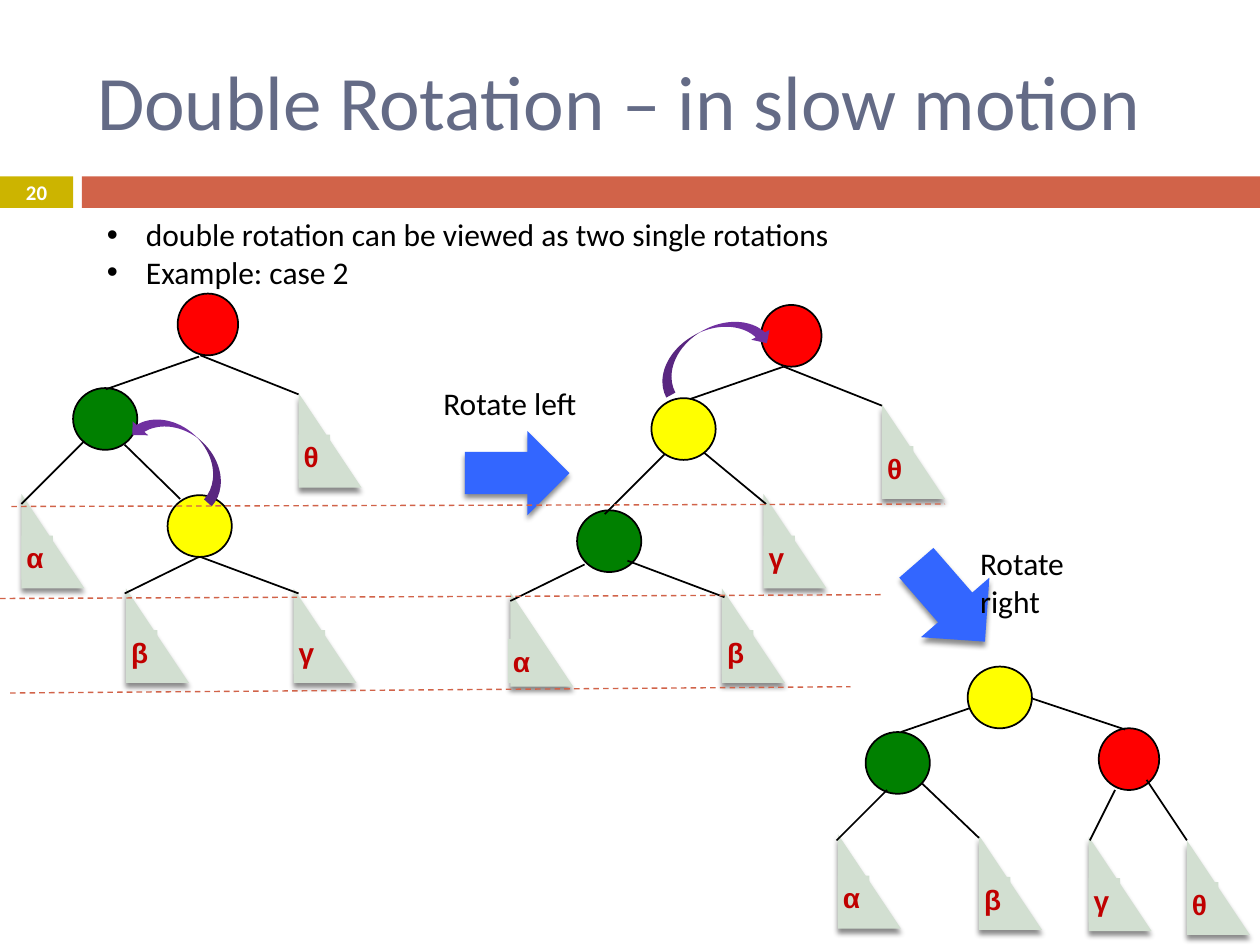
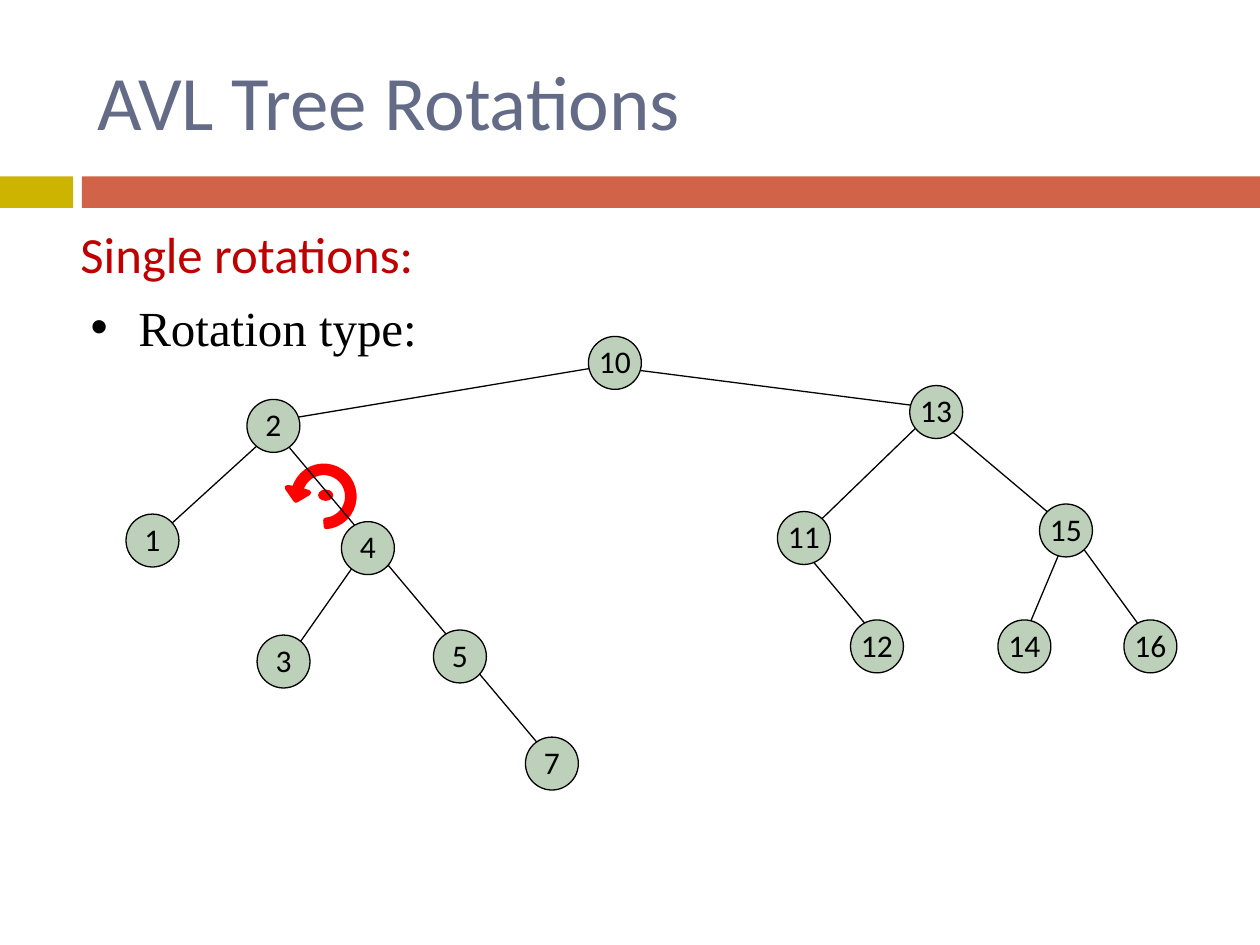
from math import cos, radians, sin
from typing import NamedTuple

from lxml.etree import SubElement
from pptx import Presentation
from pptx.dml.color import RGBColor
from pptx.enum.dml import MSO_LINE
from pptx.enum.shapes import MSO_CONNECTOR, MSO_SHAPE
from pptx.enum.text import MSO_ANCHOR, MSO_AUTO_SIZE, PP_ALIGN
from pptx.oxml.ns import qn
from pptx.util import Inches, Pt

GOLD = RGBColor(0xCC, 0xB4, 0x00)
RUST = RGBColor(0xD1, 0x63, 0x49)
SLATE = RGBColor(0x64, 0x6B, 0x86)
WHITE = RGBColor(0xFF, 0xFF, 0xFF)
BLACK = RGBColor(0x00, 0x00, 0x00)
RED = RGBColor(0xFF, 0x00, 0x00)
GREEN = RGBColor(0x00, 0x80, 0x00)
YELLOW = RGBColor(0xFF, 0xFF, 0x00)
PURPLE = RGBColor(0x70, 0x30, 0xA0)
BLUE = RGBColor(0x33, 0x66, 0xFF)
CRIMSON = RGBColor(0xC0, 0x00, 0x00)
PALE_SAGE = RGBColor(0xD2, 0xDF, 0xD1)
SAGE = RGBColor(0xBC, 0xD0, 0xBA)
TITLE_ONLY = 5


class Box(NamedTuple):
    left: float
    top: float
    width: float
    height: float

    def emu(self) -> list:
        return [Inches(length) for length in self]


class Style(NamedTuple):
    size: float
    color: RGBColor = BLACK
    font: str = "Calibri"
    bold: bool = False
    align: PP_ALIGN = PP_ALIGN.LEFT


class Edge(NamedTuple):
    x1: float
    y1: float
    x2: float
    y2: float


class Subtree(NamedTuple):
    label: str
    left: float
    top: float
    label_dx: float = 0
    label_dy: float = 0.33


class RotationStage(NamedTuple):
    red: tuple
    green: tuple
    yellow: tuple
    subtrees: list
    edges: list


class Node(NamedTuple):
    key: int
    left: float
    top: float


LABEL = Style(18)
HEADING = Style(44, SLATE)
GREEK = Style(16, CRIMSON, "Arial", True, PP_ALIGN.CENTER)

STAGES = [
    RotationStage(
        (1.41, 2.33), (0.58, 3.08), (1.33, 3.93),
        [Subtree("α", 0.17, 3.92), Subtree("β", 1, 4.67),
         Subtree("γ", 2.33, 4.67), Subtree("θ", 2.37, 3.12)],
        [Edge(1.58, 2.83, 0.84, 3.09), Edge(1.59, 2.82, 2.37, 3.13),
         Edge(0.67, 3.5, 0.17, 4), Edge(0.99, 3.53, 1.43, 3.96),
         Edge(1.58, 4.42, 0.99, 4.71), Edge(1.59, 4.42, 2.37, 4.71)],
    ),
    RotationStage(
        (8.72, 5.78), (6.87, 5.81), (7.68, 5.29),
        [Subtree("α", 6.65, 6.62), Subtree("β", 7.77, 6.63),
         Subtree("γ", 8.64, 6.64), Subtree("θ", 9.42, 6.67)],
        [Edge(7.9, 5.55, 7.15, 5.81), Edge(8.15, 5.53, 8.93, 5.79),
         Edge(7.04, 6.27, 6.64, 6.67), Edge(7.32, 6.22, 7.77, 6.65),
         Edge(8.85, 6.27, 8.65, 6.67), Edge(9.1, 6.19, 9.42, 6.67)],
    ),
    RotationStage(
        (6.04, 2.42), (4.58, 4.05), (5.17, 3.16),
        [Subtree("α", 4.05, 4.7, -0.02, 0.37), Subtree("β", 5.73, 4.67),
         Subtree("γ", 6.06, 3.92), Subtree("θ", 7, 3.21)],
        [Edge(6.22, 2.91, 5.47, 3.17), Edge(6.22, 2.91, 7, 3.22),
         Edge(5.3, 3.58, 4.8, 4.08), Edge(5.56, 3.57, 6.08, 4),
         Edge(4.64, 4.48, 4.05, 4.77), Edge(4.98, 4.45, 5.75, 4.74)],
    ),
]

LEVELS = [Edge(0.09, 4.02, 7.5, 4), Edge(0, 4.75, 7, 4.72), Edge(0.08, 5.5, 6.75, 5.45)]

AVL_NODES = [
    Node(10, 4.67, 2.67), Node(13, 7.22, 3.06), Node(15, 8.25, 4), Node(2, 1.96, 3.17),
    Node(11, 6.17, 4.06), Node(1, 1, 4.08), Node(4, 2.71, 4.14), Node(5, 3.44, 5),
    Node(12, 6.75, 4.92), Node(14, 7.92, 4.92), Node(16, 8.92, 4.92),
    Node(3, 2.04, 5.04), Node(7, 4.17, 5.85),
]

AVL_EDGES = [
    Edge(2.92, 4.33, 2.33, 5.17), Edge(2.17, 3.42, 1.17, 4.33),
    Edge(8.5, 4.22, 9.17, 5.14), Edge(6.33, 4.31, 7, 5.11),
    Edge(4.92, 2.92, 7.5, 3.25), Edge(2.25, 3.33, 4.89, 2.89),
    Edge(8.5, 4.17, 8.08, 5.17), Edge(2.11, 3.33, 4.42, 6.08),
    Edge(7.42, 3.25, 6.5, 4.14), Edge(7.42, 3.31, 8.5, 4.22),
]


def write(frame, text: str, style: Style) -> None:
    frame.text = text
    for paragraph in frame.paragraphs:
        paragraph.alignment = style.align
        for run in paragraph.runs:
            run.font.size = Pt(style.size)
            run.font.name = style.font
            run.font.bold = style.bold
            run.font.color.rgb = style.color


def add_text(slide, box: Box, text: str, style: Style):
    frame = slide.shapes.add_textbox(*box.emu()).text_frame
    frame.word_wrap = True
    write(frame, text, style)
    return frame


def add_bullets(frame, indent: float) -> None:
    for paragraph in frame.paragraphs:
        properties = paragraph._p.get_or_add_pPr()
        properties.set("marL", str(Inches(indent)))
        properties.set("indent", str(-Inches(indent)))
        SubElement(properties, qn("a:buFont"), typeface="Arial")
        SubElement(properties, qn("a:buChar"), char="•")


def paint(shape, fill: RGBColor, line: RGBColor | None = None, width: float = 1) -> None:
    shape.shadow.inherit = False
    shape.fill.solid()
    shape.fill.fore_color.rgb = fill
    if line is None:
        shape.line.fill.background()
    else:
        shape.line.color.rgb = line
        shape.line.width = Pt(width)


def add_figure(slide, kind: MSO_SHAPE, box: Box, fill: RGBColor,
               line: RGBColor | None = None, width: float = 1, rotation: float = 0):
    shape = slide.shapes.add_shape(kind, *box.emu())
    paint(shape, fill, line, width)
    shape.rotation = rotation
    return shape


def cast_shadow(shape) -> None:
    effects = shape._element.spPr.find(qn("a:effectLst"))
    shadow = SubElement(effects, qn("a:outerShdw"), blurRad=str(Pt(3)),
                        dist=str(Pt(2.4)), dir="5400000", rotWithShape="0")
    color = SubElement(shadow, qn("a:srgbClr"), val=str(BLACK))
    SubElement(color, qn("a:alpha"), val="45000")


def add_edge(slide, edge: Edge, color: RGBColor = BLACK, width: float = 1):
    ends = [Inches(length) for length in edge]
    connector = slide.shapes.add_connector(MSO_CONNECTOR.STRAIGHT, *ends)
    connector.line.color.rgb = color
    connector.line.width = Pt(width)
    SubElement(connector._element.spPr, qn("a:effectLst"))
    return connector


def start_slide(deck, heading: str, heading_box: Box):
    slide = deck.slides.add_slide(deck.slide_layouts[TITLE_ONLY])
    title = slide.shapes.title
    title.left, title.top, title.width, title.height = heading_box.emu()
    title.text_frame.auto_size = MSO_AUTO_SIZE.NONE
    title.text_frame.vertical_anchor = MSO_ANCHOR.MIDDLE
    write(title.text_frame, heading, HEADING)
    add_figure(slide, MSO_SHAPE.RECTANGLE, Box(0, 1.4, 0.58, 0.25), GOLD)
    add_figure(slide, MSO_SHAPE.RECTANGLE, Box(0.65, 1.4, 9.35, 0.25), RUST)
    return slide


def add_subtree(slide, subtree: Subtree) -> None:
    triangle = Box(subtree.left, subtree.top, 0.5, 0.75)
    cast_shadow(add_figure(slide, MSO_SHAPE.RIGHT_TRIANGLE, triangle, PALE_SAGE))
    label_box = Box(subtree.left + subtree.label_dx, subtree.top + subtree.label_dy, 0.25, 0.35)
    frame = add_figure(slide, MSO_SHAPE.RECTANGLE, label_box, PALE_SAGE).text_frame
    frame.margin_left = frame.margin_top = frame.margin_bottom = Inches(0.04)
    frame.margin_right = Inches(0.09)
    frame.vertical_anchor = MSO_ANCHOR.MIDDLE
    write(frame, subtree.label, GREEK)


def add_stage(slide, stage: RotationStage) -> None:
    add_figure(slide, MSO_SHAPE.OVAL, Box(*stage.red, 0.48, 0.49), RED, BLACK)
    add_figure(slide, MSO_SHAPE.OVAL, Box(*stage.green, 0.51, 0.49), GREEN, BLACK)
    for subtree in stage.subtrees:
        add_subtree(slide, subtree)
    for edge in stage.edges:
        add_edge(slide, edge)
    add_figure(slide, MSO_SHAPE.OVAL, Box(*stage.yellow, 0.51, 0.49), YELLOW, BLACK)


def add_avl_node(slide, node: Node) -> None:
    box = Box(node.left, node.top, 0.42, 0.42)
    frame = add_figure(slide, MSO_SHAPE.OVAL, box, SAGE, BLACK, 0.75).text_frame
    frame.margin_left = frame.margin_right = frame.margin_top = 0
    frame.margin_bottom = Inches(0.03)
    frame.vertical_anchor = MSO_ANCHOR.MIDDLE
    frame.word_wrap = False
    write(frame, str(node.key), LABEL._replace(align=PP_ALIGN.CENTER))


def add_turn_arrow(slide) -> None:
    center_x, center_y = 2.57, 3.94
    sweep = range(195, 446, 10)

    def arc(radius: float, angles) -> list:
        return [(center_x + radius * cos(radians(a)), center_y + radius * sin(radians(a)))
                for a in angles]

    head = [(2.28, 3.87), (2.35, 3.97), (2.45, 3.91)]
    outline = arc(0.19, sweep) + arc(0.24, reversed(sweep)) + head
    points = [(Inches(x), Inches(y)) for x, y in outline]
    builder = slide.shapes.build_freeform(*points[0])
    builder.add_line_segments(points[1:], close=True)
    paint(builder.convert_to_shape(), RED, RED, 3)
    add_figure(slide, MSO_SHAPE.OVAL, Box(2.53, 3.89, 0.11, 0.08), RED, RED, 0.75)


def build_double_rotation(deck) -> None:
    slide = start_slide(deck, "Double Rotation – in slow motion", Box(0.67, 0.25, 8.92, 1.08))
    number = add_text(slide, Box(0, 1.39, 0.58, 0.27), "20",
                      Style(11.9, WHITE, bold=True, align=PP_ALIGN.CENTER))
    number.vertical_anchor = MSO_ANCHOR.MIDDLE
    summary = "double rotation can be viewed as two single rotations\nExample: case 2"
    add_bullets(add_text(slide, Box(0.75, 1.66, 8.83, 0.71), summary, LABEL), 0.31)
    for stage in STAGES:
        add_stage(slide, stage)

    left_turn = add_figure(slide, MSO_SHAPE.CURVED_DOWN_ARROW, Box(0.98, 3.42, 0.93, 0.33),
                           PURPLE, rotation=41.9)
    left_turn._element.spPr.find(qn("a:xfrm")).set("flipH", "1")
    add_figure(slide, MSO_SHAPE.CURVED_DOWN_ARROW, Box(5.15, 2.61, 0.99, 0.33),
               PURPLE, rotation=331.6)
    for step, rotation in ((Box(3.69, 3.42, 0.83, 0.67), 0), (Box(7.13, 4.42, 0.83, 0.72), 49)):
        cast_shadow(add_figure(slide, MSO_SHAPE.RIGHT_ARROW, step, BLUE, rotation=rotation))
    add_text(slide, Box(3.42, 3, 1.4, 0.4), "Rotate left", LABEL)
    add_text(slide, Box(7.68, 4.27, 1.15, 0.7), "Rotate right", LABEL)
    for level in LEVELS:
        add_edge(slide, level, RUST, 0.79).line.dash_style = MSO_LINE.DASH


def build_avl_rotations(deck) -> None:
    slide = start_slide(deck, "AVL Tree Rotations", Box(0.67, 0.17, 8.5, 1.25))
    add_text(slide, Box(0.54, 1.72, 3.83, 0.67), "Single rotations:", Style(29, CRIMSON))
    rotation_type = add_text(slide, Box(0.62, 2.31, 4.29, 0.67), "Rotation type:",
                             Style(28, font="Times New Roman"))
    add_bullets(rotation_type, 0.38)
    add_turn_arrow(slide)
    for edge in AVL_EDGES:
        add_edge(slide, edge, width=0.75)
    for node in AVL_NODES:
        add_avl_node(slide, node)


def main() -> None:
    deck = Presentation()
    deck.slide_width, deck.slide_height = Inches(10), Inches(7.5)
    build_double_rotation(deck)
    build_avl_rotations(deck)
    deck.save("out.pptx")


if __name__ == "__main__":
    main()
